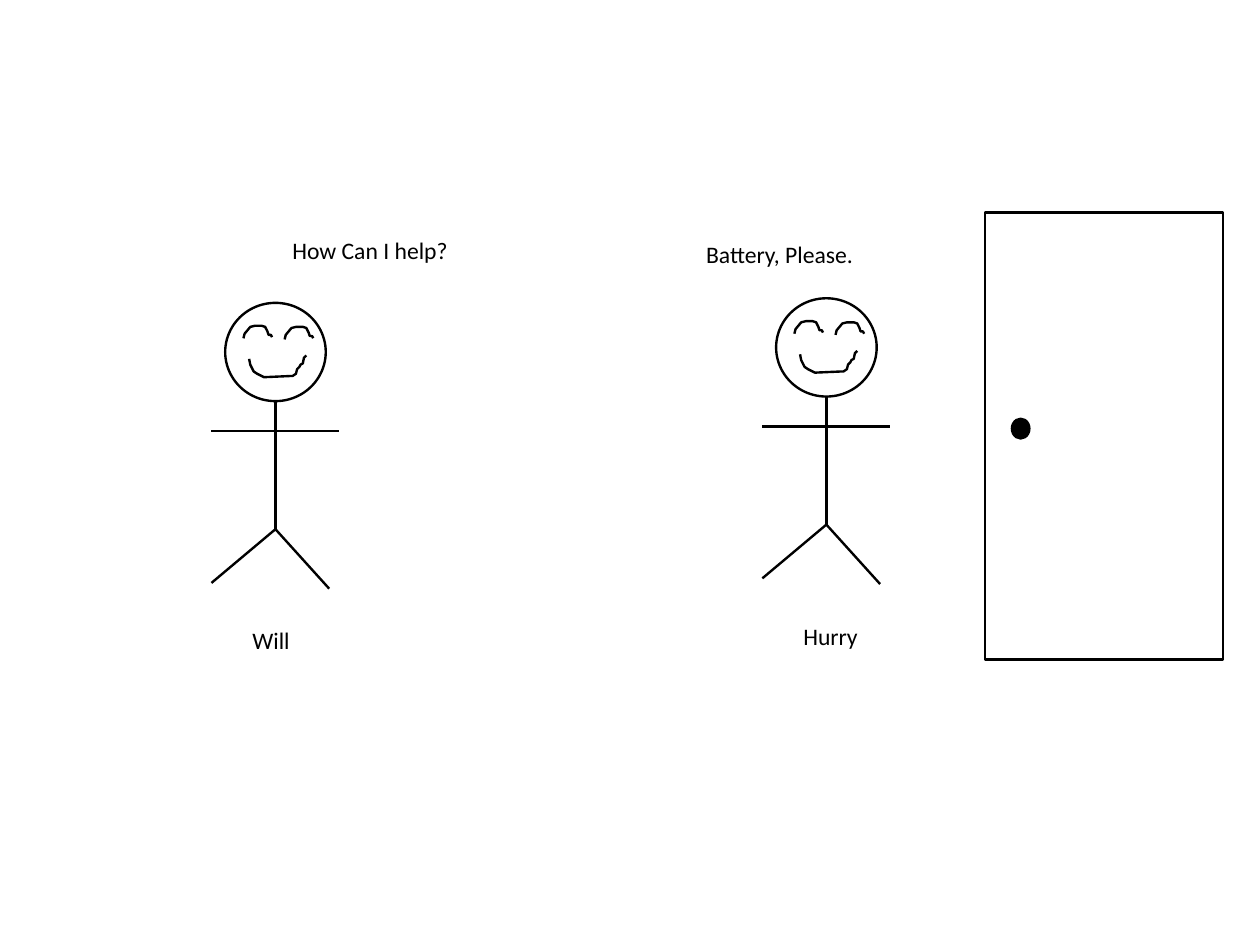
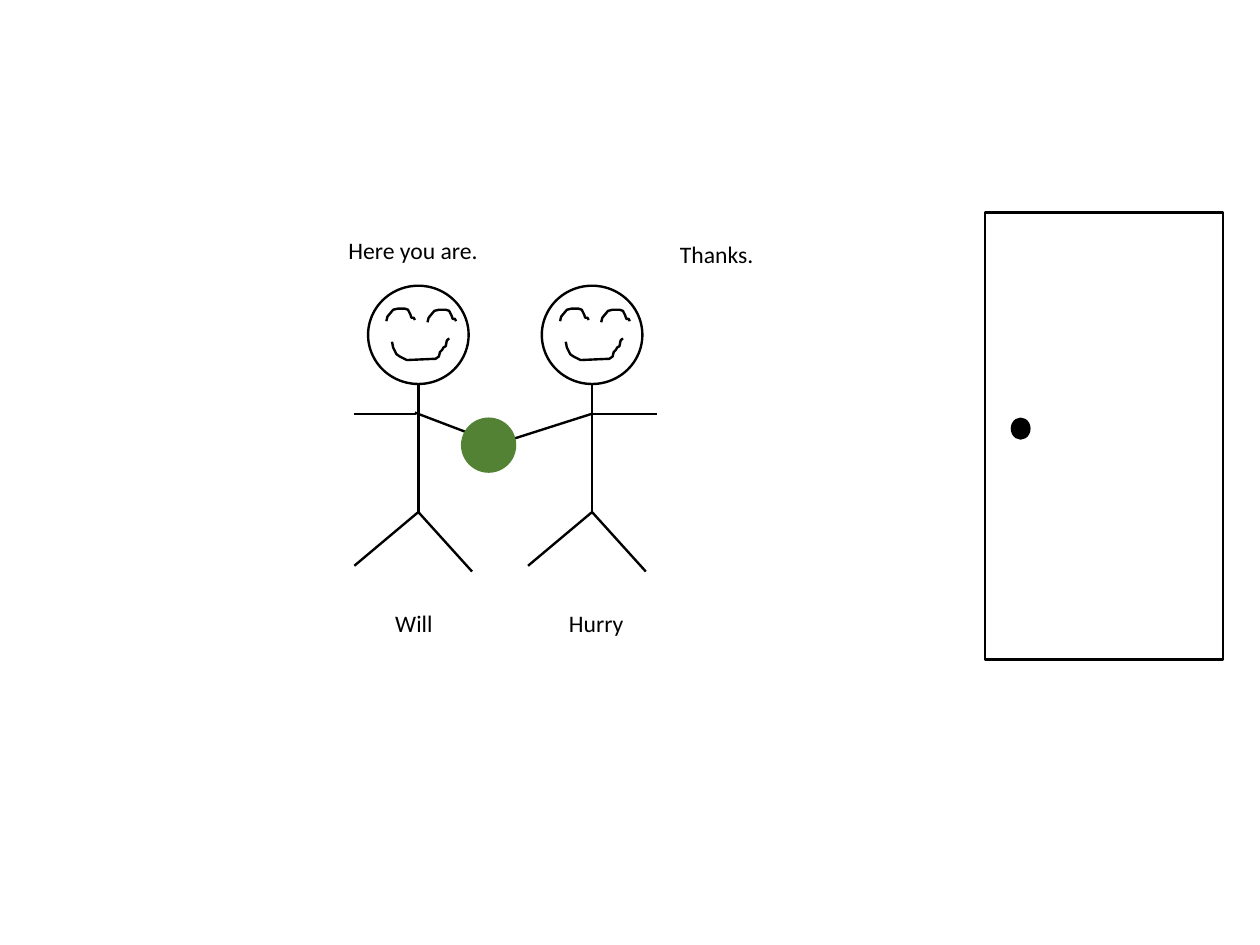
"""Builds a two-slide stick-figure comic on a grid of hundredth-inch cells."""
from dataclasses import dataclass

from pptx import Presentation
from pptx.dml.color import RGBColor
from pptx.enum.shapes import MSO_CONNECTOR, MSO_SHAPE
from pptx.enum.text import MSO_AUTO_SIZE
from pptx.oxml.ns import qn
from pptx.util import Cm, Inches, Pt

STRAIGHT = MSO_CONNECTOR.STRAIGHT
OVAL = MSO_SHAPE.OVAL
RECTANGLE = MSO_SHAPE.RECTANGLE
FIT_TEXT = MSO_AUTO_SIZE.SHAPE_TO_FIT_TEXT

CELL = Inches(0.01)
COLORS = {"ink": "000000", "paper": "FFFFFF", "battery": "548235"}
FONT, TEXT_SIZE, TEXT_ROWS = "Calibri", 14.9, 35
STROKE, THIN = 1.5, 1

Point = tuple[int, int]
Line = tuple[Point, Point]

HEAD = (88, 86)
NECK, HIP = (44, 86), (44, 198)
LIMBS: list[Line] = [(NECK, HIP), (HIP, (-12, 245)), (HIP, (91, 250))]
OPEN_ARMS: list[Line] = [((-12, 112), (100, 112))]
EYE: list[Point] = [(0, 11), (1, 7), (6, 1), (10, 0), (16, 0), (19, 1),
                    (21, 5), (22, 8), (24, 8), (25, 10)]
MOUTH: list[Point] = [(0, 3), (1, 8), (4, 14), (7, 16), (13, 19), (36, 18),
                      (38, 18), (41, 16), (42, 12), (44, 10), (45, 8),
                      (47, 7), (48, 2), (50, 0)]
FACE = [((16, 20), EYE), ((52, 21), EYE), ((21, 46), MOUTH)]
NAME_OFFSET = (14, 278)


@dataclass(frozen=True)
class Label:
    text: str
    cols: int
    wrap: bool = False


@dataclass(frozen=True)
class Figure:
    name: Label
    head: Point
    arms: list[Line]
    speech: Label
    speech_at: Point


@dataclass(frozen=True)
class Scene:
    figures: list[Figure]
    has_battery: bool = False


WILL = Label("Will", 53)
HURRY = Label("Hurry", 77, wrap=True)
SCENES = [
    Scene([
        Figure(WILL, (197, 265), OPEN_ARMS, Label("How Can I help?", 157), (246, 201)),
        Figure(HURRY, (679, 261), OPEN_ARMS, Label("Battery, Please.", 150), (608, 205)),
    ]),
    Scene([
        Figure(WILL, (322, 250), [((-12, 112), (42, 112)), ((41, 111), (91, 130))],
               Label("Here you are.", 134), (295, 201)),
        Figure(HURRY, (474, 250), [((44, 112), (101, 112)), ((-25, 134), (44, 112))],
               Label("Thanks.", 85), (585, 205)),
    ], has_battery=True),
]


def rgb(name: str) -> RGBColor:
    return RGBColor.from_string(COLORS[name])


def shift(origin: Point, offset: Point) -> Point:
    return origin[0] + offset[0], origin[1] + offset[1]


def emu(*cells: int) -> list[int]:
    return [cell * CELL for cell in cells]


def add_block(s, kind, at: Point, size: Point, fill: str = "paper",
              line: str = "ink", width: float = STROKE) -> None:
    sp = s.shapes.add_shape(kind, *emu(*at, *size))
    sp.shadow.inherit = False
    sp.fill.solid()
    sp.fill.fore_color.rgb = rgb(fill)
    sp.line.color.rgb = rgb(line)
    sp.line.width = Pt(width)


def add_line(s, start: Point, end: Point) -> None:
    cxn = s.shapes.add_connector(STRAIGHT, *emu(*start, *end))
    cxn.line.color.rgb = rgb("ink")
    cxn.line.width = Pt(STROKE)
    sp_pr = cxn._element.spPr
    sp_pr.append(sp_pr.makeelement(qn("a:effectLst"), {}))


def add_stroke(s, at: Point, points: list[Point]) -> None:
    start, *rest = [emu(*shift(at, point)) for point in points]
    builder = s.shapes.build_freeform(*start)
    builder.add_line_segments(rest, close=False)
    sp = builder.convert_to_shape()
    sp.shadow.inherit = False
    sp.fill.background()
    sp.line.color.rgb = rgb("ink")
    sp.line.width = Pt(STROKE)


def add_label(s, at: Point, label: Label) -> None:
    tf = s.shapes.add_textbox(*emu(*at, label.cols, TEXT_ROWS)).text_frame
    tf.word_wrap = label.wrap
    tf.auto_size = FIT_TEXT
    p = tf.paragraphs[0]
    r = p.add_run()
    r.text = label.text
    r.font.name = FONT
    r.font.size = Pt(TEXT_SIZE)
    r.font.color.rgb = rgb("ink")


def add_figure(s, figure: Figure) -> None:
    add_block(s, OVAL, figure.head, HEAD)
    for start, end in LIMBS + figure.arms:
        add_line(s, shift(figure.head, start), shift(figure.head, end))
    for offset, points in FACE:
        add_stroke(s, shift(figure.head, offset), points)
    add_label(s, shift(figure.head, NAME_OFFSET), figure.name)
    add_label(s, figure.speech_at, figure.speech)


def add_door(s) -> None:
    add_block(s, RECTANGLE, (862, 186), (208, 391))
    add_block(s, OVAL, (885, 366), (16, 18), fill="ink", width=THIN)


def add_scene(prs, scene: Scene) -> None:
    s = prs.slides.add_slide(prs.slide_layouts.get_by_name("Blank"))
    for figure in scene.figures:
        add_figure(s, figure)
    add_door(s)
    if scene.has_battery:
        add_block(s, OVAL, (404, 366), (47, 47), "battery", "battery", THIN)


def main() -> None:
    prs = Presentation()
    prs.slide_width = Cm(28)
    prs.slide_height = Cm(21)
    for scene in SCENES:
        add_scene(prs, scene)
    prs.save("out.pptx")


if __name__ == "__main__":
    main()
